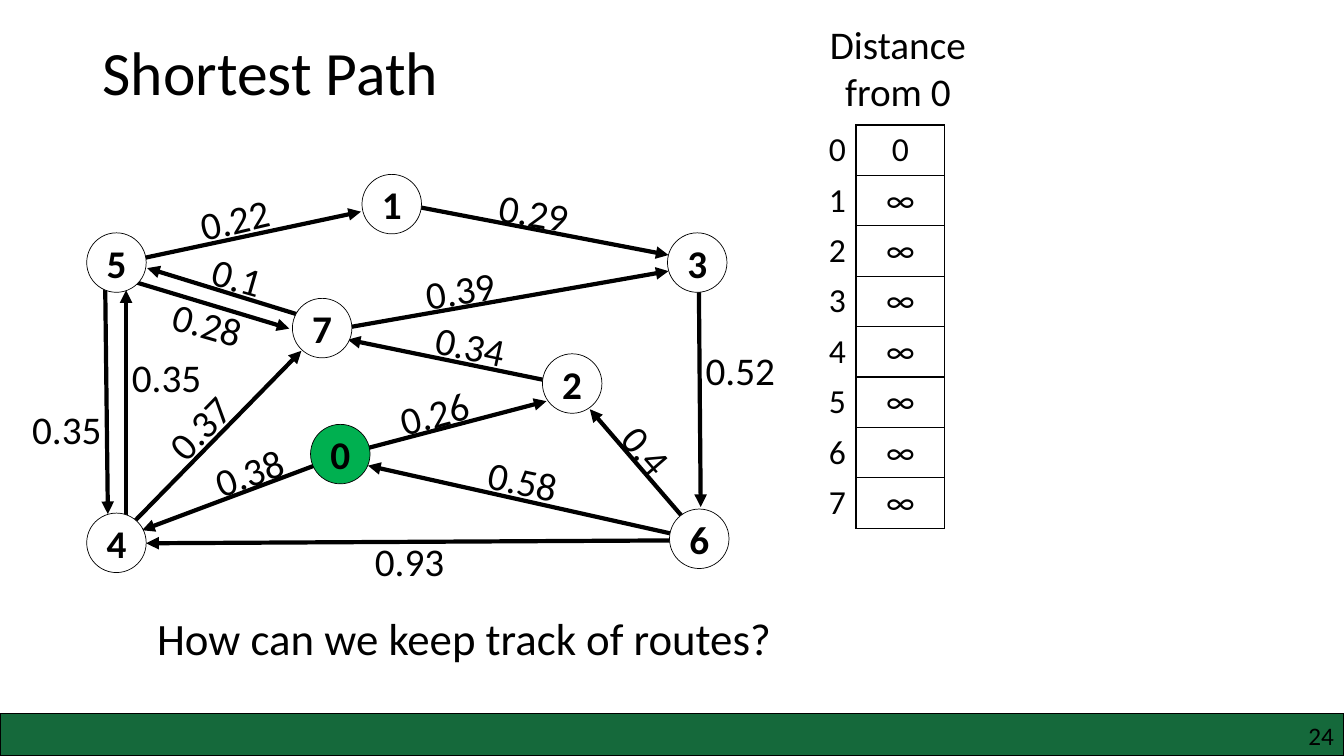
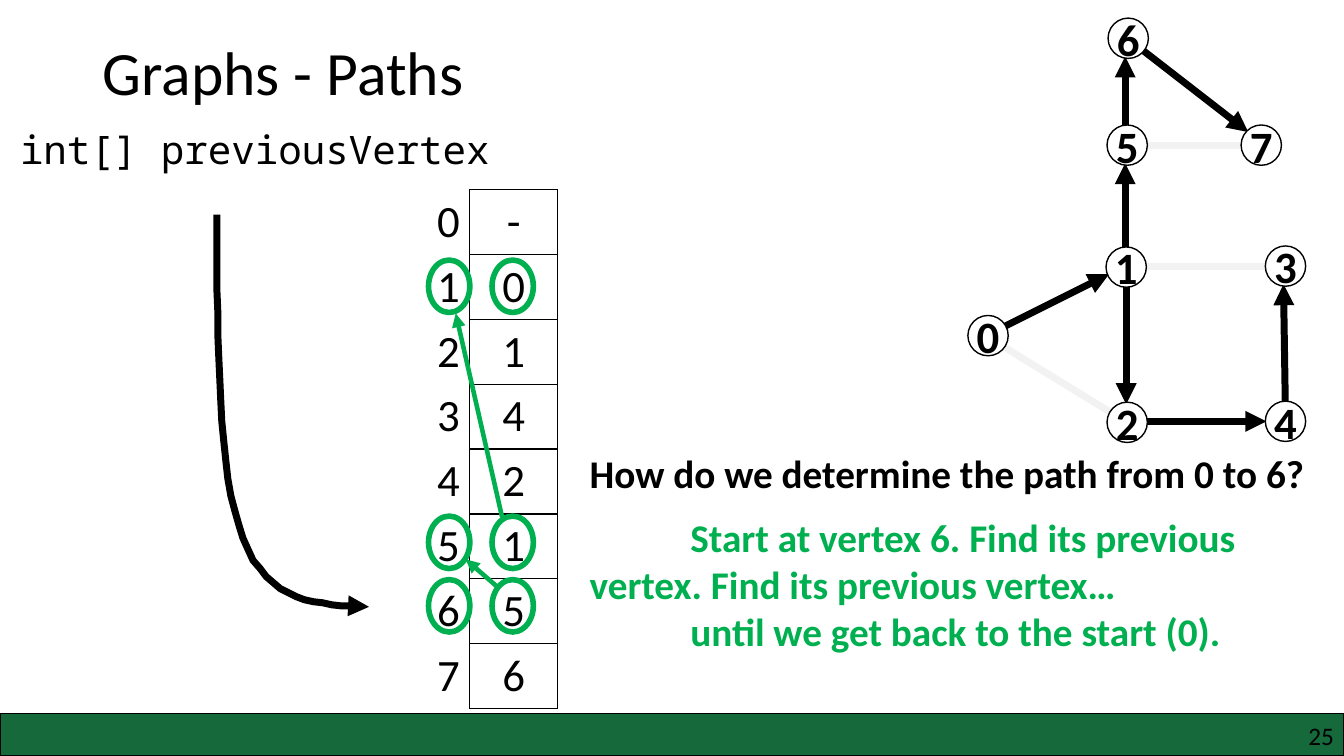
from lxml.etree import SubElement
from pptx import Presentation
from pptx.dml.color import RGBColor
from pptx.enum.shapes import MSO_CONNECTOR, MSO_SHAPE
from pptx.enum.text import MSO_ANCHOR, PP_ALIGN
from pptx.oxml.ns import qn
from pptx.util import Emu, Pt

SCALE = 9144
WIDE, HIGH = 1333, 750
BLACK = RGBColor(0x00, 0x00, 0x00)
WHITE = RGBColor(0xFF, 0xFF, 0xFF)
GREEN = RGBColor(0x00, 0xB0, 0x50)
BAND = RGBColor(0x15, 0x69, 0x3B)
PALE = RGBColor(0xF2, 0xF2, 0xF2)
SANS, MONO = "Calibri", "Noto Sans Mono"
LEFT, MID, RIGHT = PP_ALIGN.LEFT, PP_ALIGN.CENTER, PP_ALIGN.RIGHT
TIGHT = dict.fromkeys(
    ("margin_left", "margin_top", "margin_right", "margin_bottom"), 0)


def px(*sizes):
    """Turn px lengths into EMU."""
    return [Emu(round(size * SCALE)) for size in sizes]


def apply(item, values):
    """Set each named value on an item."""
    for name, value in values.items():
        setattr(item, name, value)


def style(para, size, color=BLACK, bold=False, font=SANS, align=LEFT):
    """Format one paragraph."""
    para.alignment = align
    apply(para.font, {"size": Pt(size), "bold": bold, "name": font})
    para.font.color.rgb = color


def text(slide, words, box, size, turn=0, frame=None, **look):
    """Add a text box with one paragraph and return its frame."""
    shape = slide.shapes.add_textbox(*px(*box))
    shape.rotation = turn
    body = shape.text_frame
    apply(body, {"word_wrap": True, **(frame or {})})
    para = body.paragraphs[0]
    para.text = words
    style(para, size, **look)
    return body


def shape(slide, kind, box, fill, line, weight):
    """Add a preset shape, unfilled when fill is None."""
    item = slide.shapes.add_shape(kind, *px(*box))
    item.shadow.inherit = False
    if fill is None:
        item.fill.background()
    else:
        item.fill.solid()
        item.fill.fore_color.rgb = fill
    stroke(item, line, weight)
    return item


def stroke(item, color, weight, arrow=False):
    """Set a line's colour and width, with an arrowhead if asked."""
    item.line.color.rgb = color
    item.line.width = Pt(weight)
    if arrow:
        line = item.element.spPr.find(qn("a:ln"))
        SubElement(line, qn("a:tailEnd"), type="triangle")


def edge(slide, ends, color=BLACK, weight=3, arrow=True):
    """Add a straight line or arrow."""
    item = slide.shapes.add_connector(MSO_CONNECTOR.STRAIGHT, *px(*ends))
    stroke(item, color, weight, arrow)
    SubElement(item.element.spPr, qn("a:effectLst"))


def node(slide, label, spot, side, size, weight, fill=WHITE):
    """Add a round vertex with its number."""
    item = shape(slide, MSO_SHAPE.OVAL, (*spot, side, side), fill, BLACK, weight)
    body = item.text_frame
    apply(body, {**TIGHT, "word_wrap": False,
                 "vertical_anchor": MSO_ANCHOR.MIDDLE})
    para = body.paragraphs[0]
    para.text = str(label)
    style(para, size, bold=True, align=MID)


def border(cell, sides):
    """Draw black rules on the given cell sides."""
    props = cell._tc.get_or_add_tcPr()
    for spot, side in enumerate(sides):
        line = SubElement(props, qn("a:ln" + side), w=str(Pt(1)))
        fill = SubElement(line, qn("a:solidFill"))
        SubElement(fill, qn("a:srgbClr"), val=str(BLACK))
        props.insert(spot, line)


def table(slide, values, box, first, size):
    """Add a column of values with row numbers on its left."""
    item = slide.shapes.add_table(len(values), 2, *px(*box)).table
    apply(item, {"first_row": False, "horz_banding": False})
    for col, width in zip(item.columns, px(first, box[2] - first)):
        col.width = width
    pad, = px(4)
    for num, value in enumerate(values):
        item.rows[num].height, = px(box[3] / len(values))
        parts = ((str(num), RIGHT, "R"), (value, MID, "LRTB"))
        for col, (words, align, sides) in enumerate(parts):
            cell = item.cell(num, col)
            cell.fill.background()
            apply(cell, {"margin_top": pad, "margin_bottom": pad,
                         "vertical_anchor": MSO_ANCHOR.MIDDLE})
            para = cell.text_frame.paragraphs[0]
            para.text = words
            style(para, size, align=align)
            border(cell, sides)


def bezier(points, steps=16):
    """List points along a cubic curve, after its start."""
    spots = []
    for step in range(1, steps + 1):
        t = step / steps
        parts = ((1 - t) ** 3, 3 * t * (1 - t) ** 2, 3 * t * t * (1 - t), t ** 3)
        spots.append(tuple(sum(part * point[axis] for part, point
                               in zip(parts, points)) for axis in (0, 1)))
    return spots


def curve(slide, points):
    """Add a curved arrow through joined cubic pieces."""
    pen = slide.shapes.build_freeform(*points[0], scale=SCALE)
    for start in range(0, len(points) - 1, 3):
        pen.add_line_segments(bezier(points[start:start + 4]), close=False)
    item = pen.convert_to_shape()
    item.shadow.inherit = False
    item.fill.background()
    stroke(item, BLACK, 5, True)


def start(deck, title, num):
    """Add a slide with its title, band and number."""
    slide = deck.slides.add_slide(deck.slide_layouts[6])
    body = text(slide, title, (92, 2, 1150, 145), 44,
                frame={"vertical_anchor": MSO_ANCHOR.MIDDLE})
    body.paragraphs[0].line_spacing = 0.9
    shape(slide, MSO_SHAPE.RECTANGLE, (0, 708, WIDE, 42), BAND, BLACK, 1)
    text(slide, str(num), (1277, 715, 46, 30), 18, frame=TIGHT, align=RIGHT)
    return slide


def shortest(deck):
    """Build the weighted graph slide."""
    slide = start(deck, "Shortest Path", 24)
    edges = (
        (697, 536, 585, 406), (691, 535, 365, 462), (693, 536, 145, 539),
        (340, 451, 542, 398), (341, 451, 141, 526), (569, 383, 345, 337),
        (113, 538, 299, 348), (327, 328, 663, 269), (693, 265, 695, 503),
        (318, 319, 146, 266), (108, 272, 287, 326), (104, 253, 107, 510),
        (125, 529, 125, 288), (119, 261, 358, 210), (392, 201, 663, 253))
    for ends in edges:
        edge(slide, ends)
    spots = ((308, 421), (359, 173), (538, 351), (662, 231),
             (86, 509), (86, 231), (664, 505), (290, 296))
    for num, spot in enumerate(spots):
        node(slide, num, spot, 59, 28, 0.5, WHITE if num else GREEN)
    costs = (
        ("0.35", 121, 346, 0), ("0.35", 22, 397, 0), ("0.37", 150, 387, 314),
        ("0.1", 200, 252, 16), ("0.28", 161, 296, 16), ("0.22", 188, 186, 347),
        ("0.38", 202, 436, 340), ("0.26", 386, 378, 345),
        ("0.39", 412, 257, 351), ("0.29", 485, 184, 10),
        ("0.34", 422, 317, 12), ("0.52", 690, 339, 0), ("0.93", 362, 528, 0),
        ("0.58", 474, 451, 12), ("0.4", 604, 424, 49))
    for cost, left, top, turn in costs:
        width = 112 if cost != "0.4" else 85
        text(slide, cost, (left, top, width, 58), 28, turn)
    text(slide, "Distance from 0", (805, 15, 171, 104), 28, align=MID)
    text(slide, "How can we keep track of routes?", (146, 601, 1096, 64), 32)
    table(slide, ["0"] + ["∞"] * 7, (786, 124, 151, 400), 63, 24)


def paths(deck):
    """Build the previous vertex slide."""
    slide = start(deck, "Graphs - Paths", 25)
    table(slide, "-0142156", (380, 188, 173, 515), 86, 32)
    text(slide, "int[] previousVertex", (10, 119, 518, 57), 28, font=MONO)
    curve(slide, ((215, 213), (215, 341), (216, 470), (241, 534),
                  (266, 599), (316, 600), (366, 602)))
    for top in (575, 512, 258):
        for left in (425, 488):
            shape(slide, MSO_SHAPE.OVAL, (left, top, 41, 52), None, GREEN, 4)
    for ends in ((493, 582, 462, 555), (498, 513, 452, 311)):
        edge(slide, ends, GREEN, 3.25)

    body = text(slide, "How do we determine the path from 0 to 6?",
                (575, 441, 740, 249), 28, bold=True)
    answer = ("Start at vertex 6. Find its previous vertex. "
              "Find its previous vertex…",
              "until we get back to the start (0).")
    for words, gap in zip(answer, (12, 0)):
        para = body.add_paragraph()
        para.text = words
        para.space_before = Pt(gap)
        style(para, 28, GREEN, True)
        para._p.get_or_add_pPr().set("indent", str(px(100)[0]))

    for ends in ((1275, 264, 1117, 264), (984, 337, 1116, 418),
                 (1233, 144, 1118, 144)):
        edge(slide, ends, PALE, 5, False)
    for ends in ((1122, 41, 1238, 131), (1116, 265, 1116, 162),
                 (1116, 144, 1116, 56), (1117, 271, 1117, 401),
                 (1116, 418, 1256, 418), (1275, 416, 1273, 282),
                 (982, 331, 1100, 272)):
        edge(slide, ends, weight=5)
    spots = ((960, 313), (1097, 245), (1098, 399), (1255, 244),
             (1255, 398), (1098, 124), (1099, 18), (1231, 124))
    for num, spot in enumerate(spots):
        node(slide, num, spot, 40, 32, 1)


def main():
    """Build and save the deck."""
    deck = Presentation()
    deck.slide_width, deck.slide_height = px(WIDE, HIGH)
    shortest(deck)
    paths(deck)
    deck.save("out.pptx")


if __name__ == "__main__":
    main()
